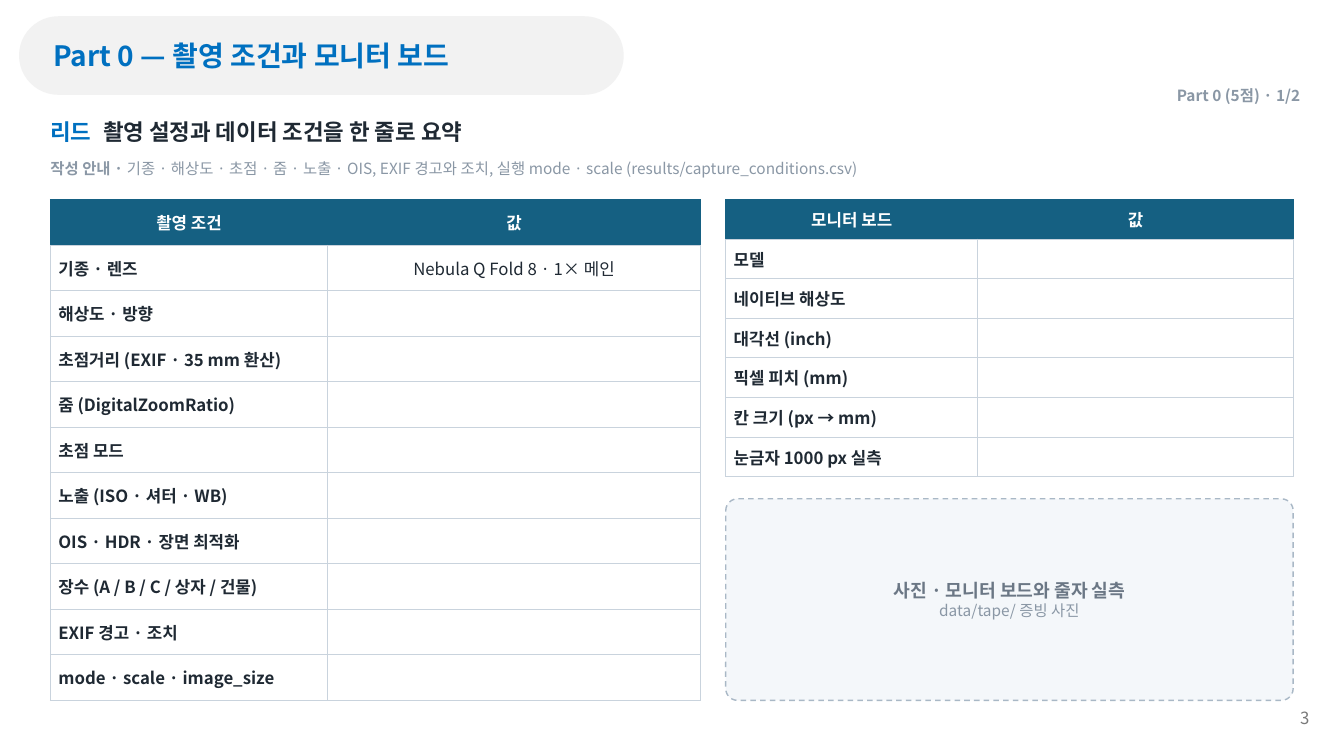
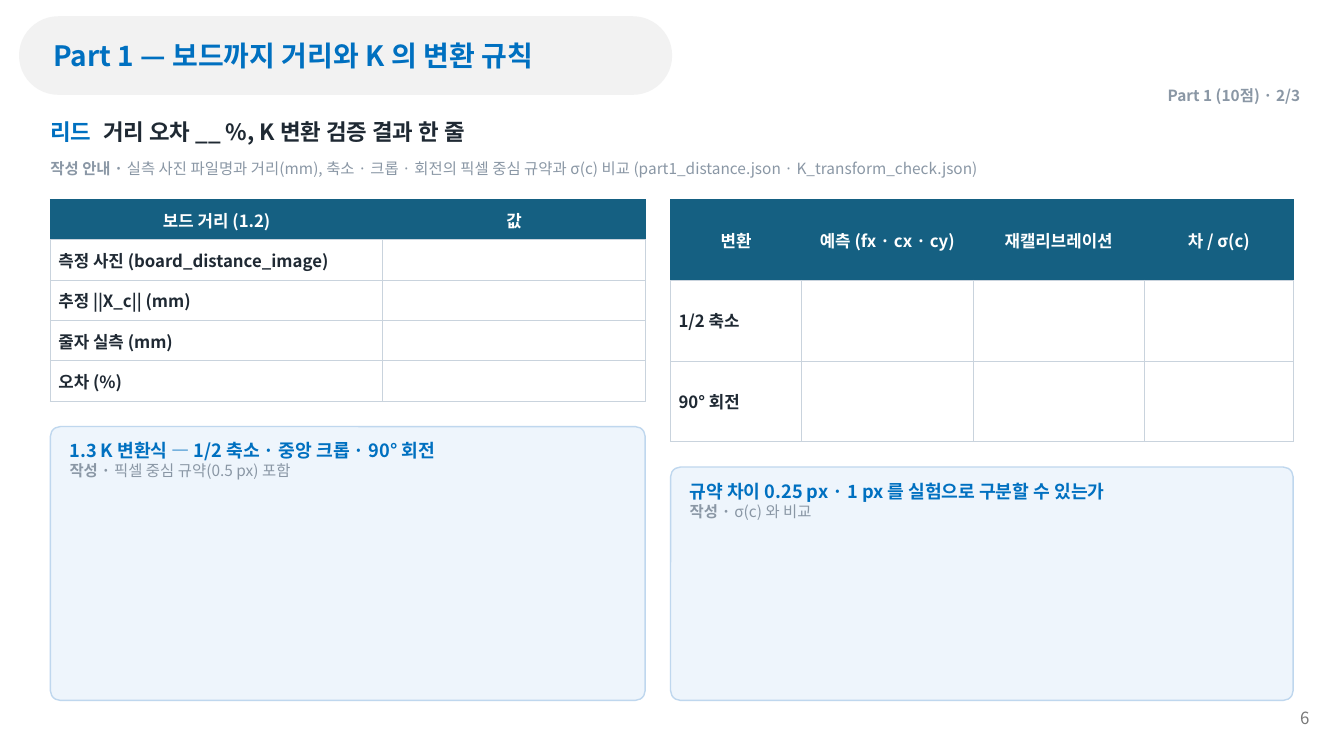
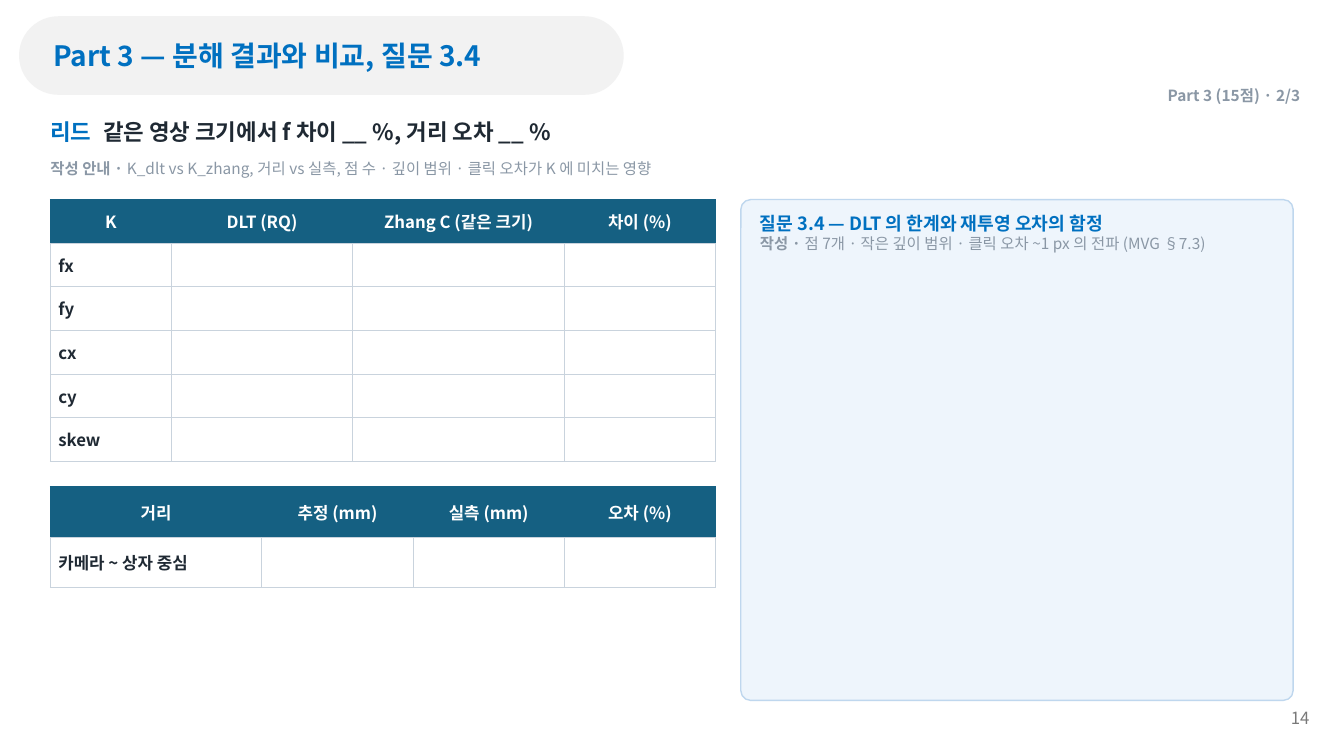
"""Build three camera-calibration report slides with tables and answer boxes."""
import pptx
import pptx.dml.color
import pptx.enum.dml
import pptx.enum.shapes
import pptx.enum.text
import pptx.oxml.ns
import pptx.util
from lxml import etree

Cm = pptx.util.Cm
Pt = pptx.util.Pt
qn = pptx.oxml.ns.qn
ALIGN = pptx.enum.text.PP_ALIGN
ANCHOR = pptx.enum.text.MSO_ANCHOR

FONT = "Noto Sans CJK KR"
COLORS = {
    "accent": "0070C0", "ink": "1F2933", "muted": "8A97A5", "caption": "6B7785",
    "number": "797979", "white": "FFFFFF", "header": "156082", "grid": "C9D3DD",
    "pill": "F2F2F2", "answer": "EEF5FC", "answer_edge": "BFD7EE",
    "photo": "F4F7FA", "photo_edge": "A9B8C6",
}
RUNS = {
    "title": (20, "accent", True), "number": (12, "number", False),
    "tag": (11, "muted", True), "note": (11, "muted", False),
    "lead_label": (16, "accent", True), "lead": (16, "ink", True),
    "head": (12, "white", True), "label": (12, "ink", True),
    "value": (12, "ink", False), "question": (13, "accent", True),
    "photo": (13, "caption", True),
}
LEFT, RIGHT, TOP, BOTTOM, GAP = 1.27, 32.59, 5.03, 17.65, 0.64


def color(name):
    return pptx.dml.color.RGBColor.from_string(COLORS[name])


class Deck:
    def __init__(self):
        self.show = pptx.Presentation()
        self.show.slide_width, self.show.slide_height = Cm(33.87), Cm(19.05)
        self.slide = None

    def set_text(self, frame, paragraphs, align=ALIGN.LEFT, anchor=ANCHOR.MIDDLE,
                 insets=(0, 0, 0, 0), tab=None):
        sides = ("margin_left", "margin_top", "margin_right", "margin_bottom")
        formats = {"word_wrap": True, "vertical_anchor": anchor,
                   **{side: Cm(inset) for side, inset in zip(sides, insets)}}
        for name, value in formats.items():
            setattr(frame, name, value)
        for index, runs in enumerate(paragraphs):
            paragraph = frame.add_paragraph() if index else frame.paragraphs[0]
            paragraph.alignment = align
            if tab:
                stops = etree.SubElement(paragraph._p.get_or_add_pPr(), qn("a:tabLst"))
                etree.SubElement(stops, qn("a:tab"), pos=str(Cm(tab)), algn="l")
            for text, style in runs:
                run = paragraph.add_run()
                run.text = text
                size, tone, bold = RUNS[style]
                for name, value in {"size": Pt(size), "bold": bold, "name": FONT}.items():
                    setattr(run.font, name, value)
                run.font.color.rgb = color(tone)
                etree.SubElement(run._r.get_or_add_rPr(), qn("a:ea"), typeface=FONT)

    def text(self, left, top, width, height, runs, grow=True, **layout):
        frame = self.slide.shapes.add_textbox(
            Cm(left), Cm(top), Cm(width), Cm(height)).text_frame
        self.set_text(frame, [runs], **layout)
        if grow:
            frame.auto_size = pptx.enum.text.MSO_AUTO_SIZE.SHAPE_TO_FIT_TEXT

    def panel(self, left, top, width, height, radius, fill, paragraphs,
              edge=None, dashed=False, **layout):
        panel = self.slide.shapes.add_shape(
            pptx.enum.shapes.MSO_SHAPE.ROUNDED_RECTANGLE,
            Cm(left), Cm(top), Cm(width), Cm(height))
        panel.adjustments[0] = radius / min(width, height)
        panel.shadow.inherit = False
        panel.fill.solid()
        panel.fill.fore_color.rgb = color(fill)
        if edge:
            panel.line.color.rgb = color(edge)
            panel.line.width = Pt(1)
        else:
            panel.line.fill.background()
        if dashed:
            panel.line.dash_style = pptx.enum.dml.MSO_LINE.DASH
        self.set_text(panel.text_frame, paragraphs, **layout)

    def page(self, title, pill_width, tag, lead, guide, number):
        self.slide = self.show.slides.add_slide(self.show.slide_layouts[6])
        self.panel(0.48, 0.41, pill_width, 1.98, 0.99, "pill", [[(title, "title")]],
                   insets=(0.57, 0.13, 0.25, 0.13))
        self.text(32.11, 17.58, 1.14, 1.02, [(number, "number")], grow=False,
                  align=ALIGN.RIGHT, insets=(0, 0.13, 0.25, 0.13))
        self.text(24, 2.03, 8.77, 0.76, [(tag, "tag")], align=ALIGN.RIGHT)
        self.text(LEFT, 2.79, RIGHT - LEFT, 1.07,
                  [("리드\t", "lead_label"), (lead, "lead")], tab=1.33)
        self.text(LEFT, 3.81, RIGHT - LEFT, 0.86,
                  [("작성 안내 · ", "tag"), (guide, "note")])

    def cell(self, cell, text, style, fill, edge, align):
        self.set_text(cell.text_frame, [[(text, style)]] if text else [], align)
        cell.vertical_anchor = ANCHOR.MIDDLE
        margins = {"margin_left": 0.2, "margin_right": 0.2,
                   "margin_top": 0.08, "margin_bottom": 0.08}
        for name, value in margins.items():
            setattr(cell, name, Cm(value))
        if not text:
            etree.SubElement(cell.text_frame.paragraphs[0]._p,
                             qn("a:endParaRPr"), sz="1200")
        cell.fill.solid()
        cell.fill.fore_color.rgb = color(fill)
        properties = cell._tc.get_or_add_tcPr()
        for index, side in enumerate("LRTB"):
            line = etree.Element(qn(f"a:ln{side}"), w=str(Pt(0.75)))
            paint = etree.SubElement(line, qn("a:solidFill"))
            etree.SubElement(paint, qn("a:srgbClr"), val=COLORS[edge])
            properties.insert(index, line)

    def table(self, left, top, width, height, first_columns, header, rows):
        grid = self.slide.shapes.add_table(
            len(rows) + 1, len(header), Cm(left), Cm(top), Cm(width), Cm(height)).table
        grid.horz_banding = False
        widths = [*first_columns, width - sum(first_columns)]
        for column, column_width in zip(grid.columns, widths):
            column.width = Cm(column_width)
        for row in grid.rows:
            row.height = Cm(height / (len(rows) + 1))
        for c, heading in enumerate(header):
            self.cell(grid.cell(0, c), heading, "head", "header", "header", ALIGN.CENTER)
        for r, (label, *values) in enumerate(rows, 1):
            self.cell(grid.cell(r, 0), label, "label", "white", "grid", ALIGN.LEFT)
            for c in range(1, len(header)):
                value = values[c - 1] if c <= len(values) else ""
                self.cell(grid.cell(r, c), value, "value", "white", "grid", ALIGN.CENTER)

    def answer(self, left, top, width, question, hint):
        self.panel(left, top, width, BOTTOM - top, 0.25, "answer",
                   [[(question, "question")], [("작성 · ", "tag"), (hint, "note")]],
                   edge="answer_edge", anchor=ANCHOR.TOP, insets=(0.41, 0.25, 0.41, 0.2))

    def photo(self, left, top, width, caption, source):
        self.panel(left, top, width, BOTTOM - top, 0.3, "photo",
                   [[(caption, "photo")], [(source, "note")]], edge="photo_edge",
                   dashed=True, align=ALIGN.CENTER, insets=(0.3, 0.3, 0.3, 0.3))


def split(left_width):
    right = LEFT + left_width + GAP
    return left_width, right, RIGHT - right


def capture_conditions(deck):
    deck.page("Part 0 — 촬영 조건과 모니터 보드", 15.24, "Part 0 (5점) · 1/2",
              "촬영 설정과 데이터 조건을 한 줄로 요약",
              "기종 · 해상도 · 초점 · 줌 · 노출 · OIS, EXIF 경고와 조치, "
              "실행 mode · scale (results/capture_conditions.csv)", "3")
    width, right, right_width = split(16.38)
    deck.table(LEFT, TOP, width, BOTTOM - TOP, [6.99], ["촬영 조건", "값"], [
        ["기종 · 렌즈", "Nebula Q Fold 8 · 1× 메인"], ["해상도 · 방향"],
        ["초점거리 (EXIF · 35 mm 환산)"], ["줌 (DigitalZoomRatio)"], ["초점 모드"],
        ["노출 (ISO · 셔터 · WB)"], ["OIS · HDR · 장면 최적화"],
        ["장수 (A / B / C / 상자 / 건물)"], ["EXIF 경고 · 조치"],
        ["mode · scale · image_size"]])
    deck.table(right, TOP, right_width, 6.98, [6.35], ["모니터 보드", "값"], [
        ["모델"], ["네이티브 해상도"], ["대각선 (inch)"], ["픽셀 피치 (mm)"],
        ["칸 크기 (px → mm)"], ["눈금자 1000 px 실측"]])
    deck.photo(right, 12.57, right_width, "사진 · 모니터 보드와 줄자 실측",
               "data/tape/ 증빙 사진")


def board_distance(deck):
    deck.page("Part 1 — 보드까지 거리와 K 의 변환 규칙", 16.46, "Part 1 (10점) · 2/3",
              "거리 오차 __ %, K 변환 검증 결과 한 줄",
              "실측 사진 파일명과 거리(mm), 축소 · 크롭 · 회전의 픽셀 중심 규약과 σ(c) 비교 "
              "(part1_distance.json · K_transform_check.json)", "6")
    width, right, right_width = split(14.99)
    distance_height, transform_height = 5.08, 6.1
    deck.table(LEFT, TOP, width, distance_height, [8.38], ["보드 거리 (1.2)", "값"], [
        ["측정 사진 (board_distance_image)"], ["추정 ||X_c|| (mm)"],
        ["줄자 실측 (mm)"], ["오차 (%)"]])
    deck.answer(LEFT, TOP + distance_height + GAP, width,
                "1.3 K 변환식 — 1/2 축소 · 중앙 크롭 · 90° 회전",
                "픽셀 중심 규약(0.5 px) 포함")
    deck.table(right, TOP, right_width, transform_height, [3.3, 4.32, 4.32],
               ["변환", "예측 (fx · cx · cy)", "재캘리브레이션", "차 / σ(c)"],
               [["1/2 축소"], ["90° 회전"]])
    deck.answer(right, TOP + transform_height + GAP, right_width,
                "규약 차이 0.25 px · 1 px 를 실험으로 구분할 수 있는가", "σ(c) 와 비교")


def decomposition(deck):
    deck.page("Part 3 — 분해 결과와 비교, 질문 3.4", 15.24, "Part 3 (15점) · 2/3",
              "같은 영상 크기에서 f 차이 __ %, 거리 오차 __ %",
              "K_dlt vs K_zhang, 거리 vs 실측, 점 수 · 깊이 범위 · "
              "클릭 오차가 K 에 미치는 영향", "14")
    width, right, right_width = split(16.76)
    intrinsics_height = 6.6
    deck.table(LEFT, TOP, width, intrinsics_height, [3.05, 4.57, 5.33],
               ["K", "DLT (RQ)", "Zhang C (같은 크기)", "차이 (%)"],
               [["fx"], ["fy"], ["cx"], ["cy"], ["skew"]])
    deck.table(LEFT, TOP + intrinsics_height + GAP, width, 2.54, [5.33, 3.81, 3.81],
               ["거리", "추정 (mm)", "실측 (mm)", "오차 (%)"], [["카메라 ~ 상자 중심"]])
    deck.answer(right, TOP, right_width, "질문 3.4 — DLT 의 한계와 재투영 오차의 함정",
                "점 7개 · 작은 깊이 범위 · 클릭 오차 ~1 px 의 전파 (MVG §7.3)")


def main():
    deck = Deck()
    for build in (capture_conditions, board_distance, decomposition):
        build(deck)
    deck.show.save("out.pptx")


if __name__ == "__main__":
    main()
